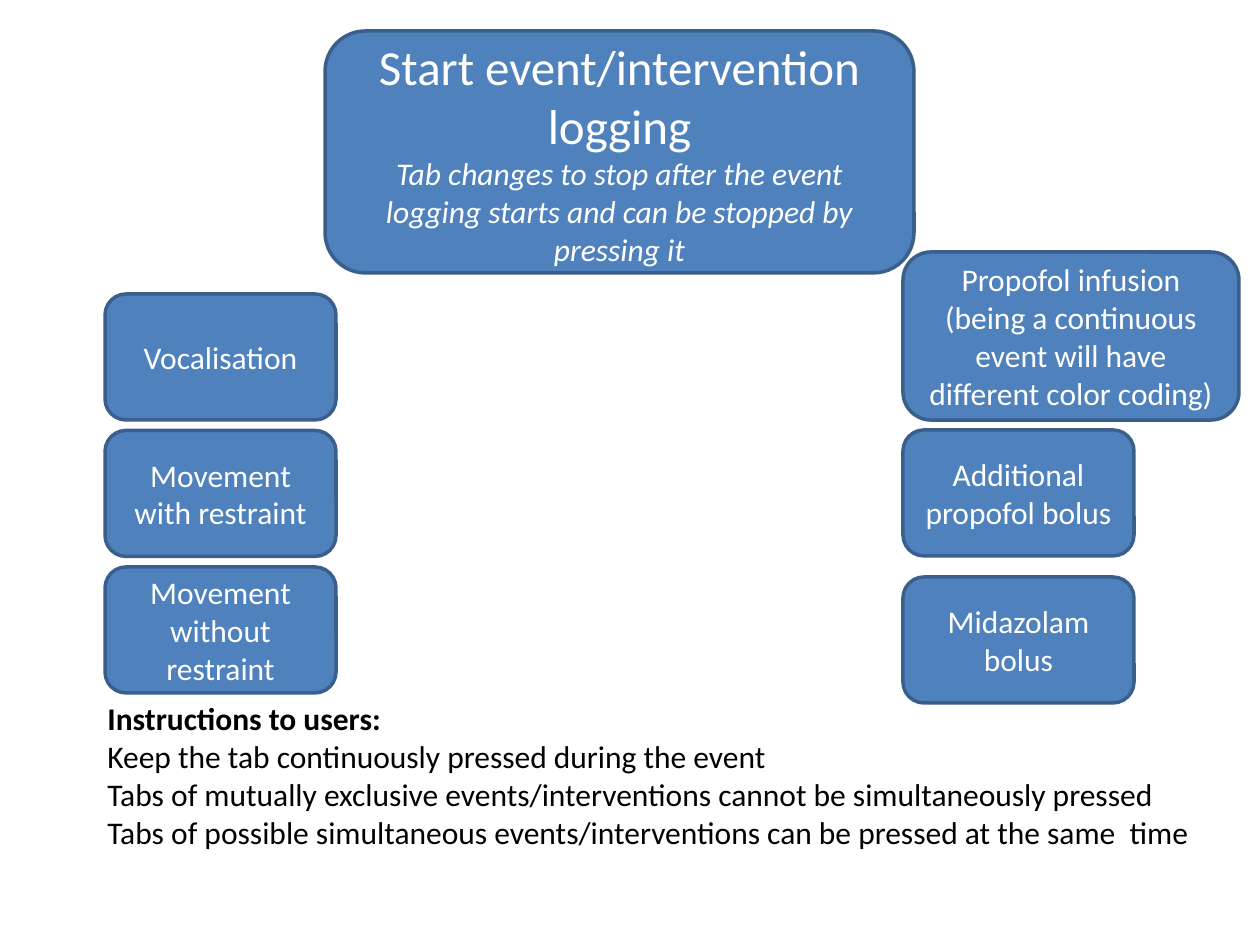
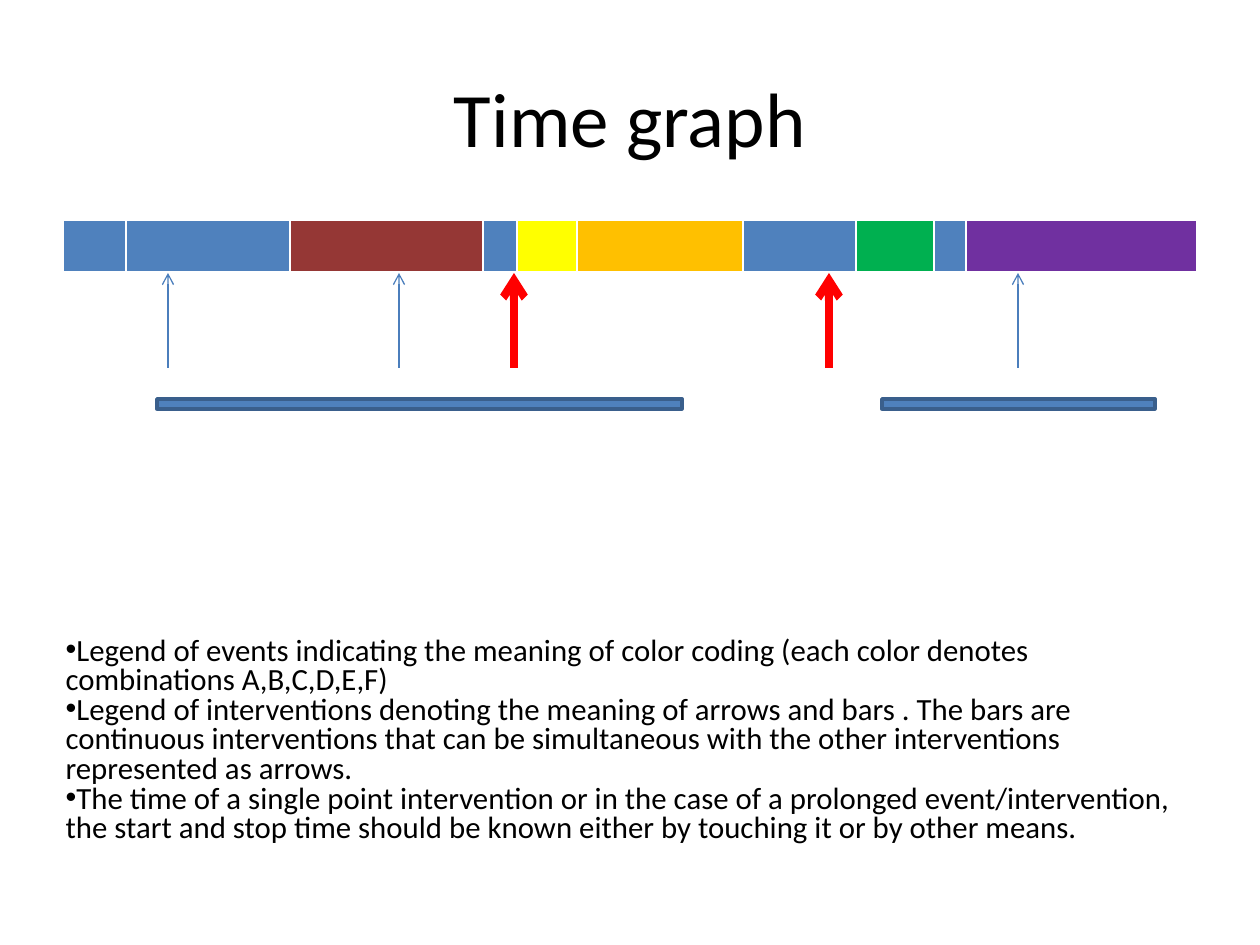
import dataclasses

import lxml.etree
import pptx
import pptx.dml.color
import pptx.enum.shapes
import pptx.enum.text
import pptx.oxml.ns
import pptx.util


@dataclasses.dataclass(frozen=True)
class Theme:
    """Colours, font and type sizes shared by the slides."""
    font: str = "Calibri"
    white: str = "FFFFFF"
    black: str = "000000"
    blue: str = "4F81BD"
    outline: str = "3A5F8C"
    arrow: str = "4B7EBC"
    red: str = "FF0000"
    brown: str = "953735"
    yellow: str = "FFFF00"
    orange: str = "FFC000"
    green: str = "00B050"
    purple: str = "7030A0"
    title: float = 44
    heading: float = 28
    body: float = 18
    legend: float = 17.6


theme = Theme()
rgb = pptx.dml.color.RGBColor.from_string
shape_kind = pptx.enum.shapes.MSO_SHAPE
center = pptx.enum.text.PP_ALIGN.CENTER
left = pptx.enum.text.PP_ALIGN.LEFT
middle = pptx.enum.text.MSO_ANCHOR.MIDDLE
px = pptx.util.Inches(1) / 126


def write_text(frame, text, size=theme.body, color=theme.black, align=left,
               bold=False, italic=False, first=False):
    """Write one formatted paragraph into a text frame and return it."""
    para = frame.paragraphs[0] if first else frame.add_paragraph()
    para.alignment = align
    span = para.add_run()
    span.text = text
    span.font.name = theme.font
    span.font.size = pptx.util.Pt(size)
    span.font.color.rgb = rgb(color)
    span.font.bold = bold
    span.font.italic = italic
    return para


def add_panel(page, kind, *place):
    """Add an outlined blue shape at a place in pixels; return its text frame."""
    panel = page.shapes.add_shape(kind, *[round(length * px) for length in place])
    panel.shadow.inherit = False
    panel.fill.solid()
    panel.fill.fore_color.rgb = rgb(theme.blue)
    panel.line.color.rgb = rgb(theme.outline)
    panel.line.width = pptx.util.Pt(2)
    panel.text_frame.word_wrap = True
    panel.text_frame.vertical_anchor = middle
    return panel.text_frame


deck = pptx.Presentation()
deck.slide_width = round(1260 * px)
deck.slide_height = round(945 * px)

# Slide 1: event and intervention tabs
page = deck.slides.add_slide(deck.slide_layouts[6])

frame = add_panel(page, shape_kind.ROUNDED_RECTANGLE, 325, 31, 589, 242)
write_text(frame, "Start event/intervention logging", size=theme.heading,
           color=theme.white, align=center, first=True)
write_text(frame, "Tab changes to stop after the event logging starts and can be "
           "stopped by pressing it", color=theme.white, align=center, italic=True)

events = ["Vocalisation", "Movement with restraint", "Movement without restraint"]
tabs = [(name, 105, 294 + 136.5 * row, 231, 126) for row, name in enumerate(events)]
tabs += [
    ("Propofol infusion (being a continuous event will have different color coding)",
     903, 252, 336, 168),
    ("Additional propofol bolus", 903, 430, 231, 126),
    ("Midazolam bolus", 903, 577, 231, 126),
]
for name, *place in tabs:
    frame = add_panel(page, shape_kind.ROUNDED_RECTANGLE, *place)
    write_text(frame, name, color=theme.white, align=center, first=True)

box = page.shapes.add_textbox(*[round(length * px) for length in (95, 693, 1215, 165)])
box.text_frame.word_wrap = True
write_text(box.text_frame, "Instructions to users:", bold=True, first=True)
for line in [
    "Keep the tab continuously pressed during the event",
    "Tabs of mutually exclusive events/interventions cannot be simultaneously pressed",
    "Tabs of possible simultaneous events/interventions can be pressed at the same  time",
]:
    write_text(box.text_frame, line)

# Slide 2: time graph
page = deck.slides.add_slide(deck.slide_layouts[1])
title, legend = page.placeholders
for holder, place in [(title, (63, 38, 1134, 158)), (legend, (53, 609, 1134, 264))]:
    holder.left, holder.top, holder.width, holder.height = [
        round(length * px) for length in place]
    holder.text_frame.auto_size = pptx.enum.text.MSO_AUTO_SIZE.NONE
    holder.text_frame.word_wrap = True
    holder.text_frame.vertical_anchor = middle
write_text(title.text_frame, "Time graph", size=theme.title, align=center, first=True)

periods = [
    (63, theme.blue), (164, theme.blue), (193, theme.brown), (34, theme.blue),
    (60, theme.yellow), (166, theme.orange), (113, theme.blue), (78, theme.green),
    (32, theme.blue), (231, theme.purple),
]
table = page.shapes.add_table(
    1, len(periods), *[round(length * px) for length in (63, 220, 1134, 52)]).table
for column, (width, color) in enumerate(periods):
    table.columns[column].width = round(width * px)
    cell = table.cell(0, column)
    cell.fill.solid()
    cell.fill.fore_color.rgb = rgb(color)

interventions = [
    (168, theme.arrow, 0.75), (399, theme.arrow, 0.75), (514, theme.red, 4.5),
    (829, theme.red, 4.5), (1018, theme.arrow, 0.75),
]
for x, color, weight in interventions:
    arrow = page.shapes.add_connector(
        pptx.enum.shapes.MSO_CONNECTOR.STRAIGHT,
        *[round(length * px) for length in (x, 368, x, 273)])
    arrow.line.color.rgb = rgb(color)
    arrow.line.width = pptx.util.Pt(weight)
    head = lxml.etree.SubElement(arrow.line._get_or_add_ln(), pptx.oxml.ns.qn("a:tailEnd"))
    head.set("type", "arrow")
    lxml.etree.SubElement(arrow._element.spPr, pptx.oxml.ns.qn("a:effectLst"))

for x, width in [(157, 525), (882, 273)]:
    add_panel(page, shape_kind.RECTANGLE, x, 399, width, 10)

notes = [
    "Legend of events indicating the meaning of color coding (each color denotes "
    "combinations A,B,C,D,E,F)",
    "Legend of interventions denoting the meaning of arrows and bars . The bars are "
    "continuous interventions that can be simultaneous with the other interventions "
    "represented as arrows.",
    "The time of a single point intervention or in the case of a prolonged "
    "event/intervention, the start and stop time should be known either by touching it "
    "or by other means.",
]
for row, note in enumerate(notes):
    para = write_text(legend.text_frame, note, size=theme.legend, first=row == 0)
    para.line_spacing = 0.8
    para.space_before = pptx.util.Pt(0)
    properties = para._p.get_or_add_pPr()
    properties.set("marL", "0")
    properties.set("indent", "0")

deck.save("out.pptx")
